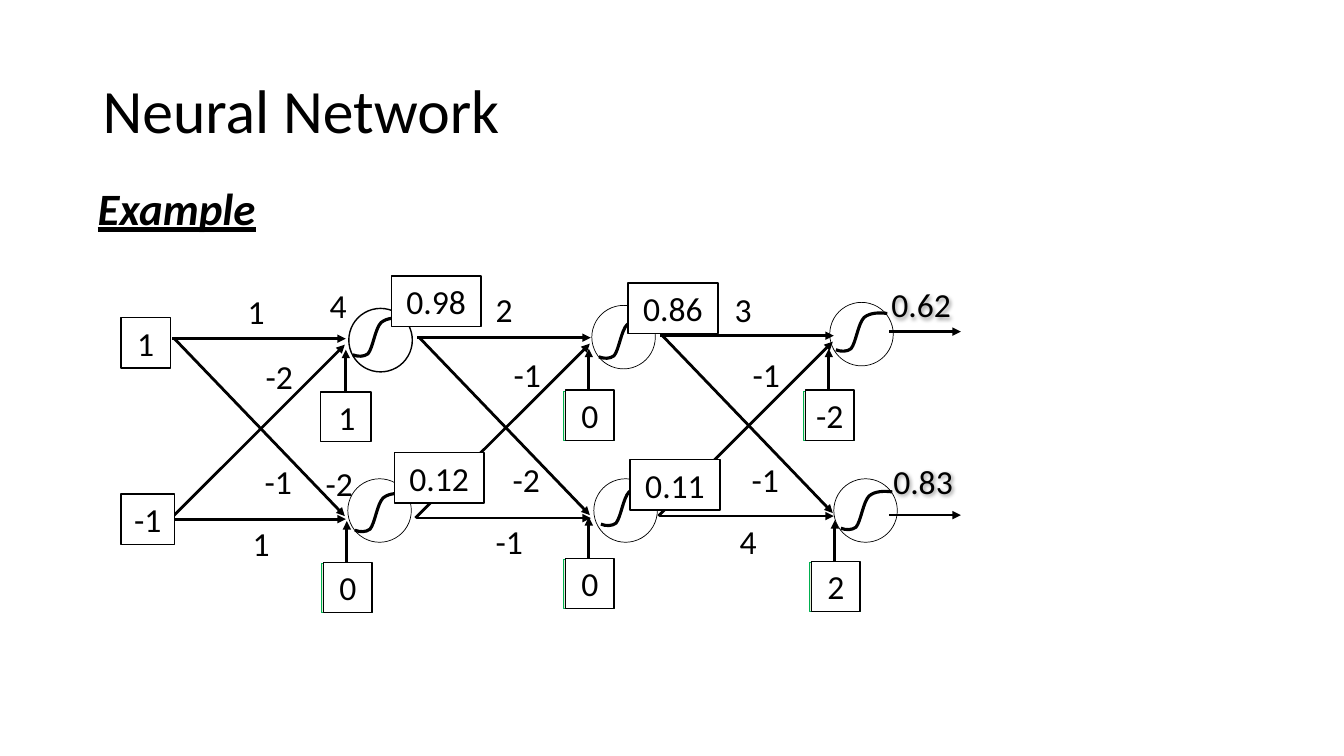
from lxml import etree
from pptx import Presentation
from pptx import util as u
from pptx.dml.color import RGBColor
from pptx.enum import shapes, text
from pptx.oxml import ns

COLORS = {"ink": "000000", "paper": "FFFFFF", "bias": "E2F0D9", "bias_edge": "00B050"}


class Diagram:
    font = "Calibri"

    def __init__(self, slide):
        self.shapes = slide.shapes

    def rgb(self, name):
        return RGBColor.from_string(COLORS[name])

    def sub(self, parent, tag, **attrs):
        return etree.SubElement(parent, ns.qn(tag), attrs)

    def paint(self, sp, fill, edge, width):
        if fill:
            sp.fill.solid()
            sp.fill.fore_color.rgb = self.rgb(fill)
        else:
            sp.fill.background()
        sp.line.color.rgb = self.rgb(edge)
        sp.line.width = u.Pt(width)

    def shape(self, kind, x, y, w, h, fill=None, edge="ink", width=1):
        sp = self.shapes.add_shape(kind, *map(u.Inches, (x, y, w, h)))
        sp.shadow.inherit = False
        self.paint(sp, fill, edge, width)
        return sp

    def label(self, words, x, y, w, h=0.5, size=24, align=text.PP_ALIGN.CENTER):
        sp = self.shapes.add_textbox(*map(u.Inches, (x, y, w, h)))
        tf = sp.text_frame
        tf.word_wrap = True
        tf.auto_size = text.MSO_AUTO_SIZE.SHAPE_TO_FIT_TEXT
        p = tf.paragraphs[0]
        p.text = words
        p.alignment = align
        p.font.name = self.font
        p.font.size = u.Pt(size)
        p.font.color.rgb = self.rgb("ink")
        return sp

    def box(self, words, x, y, w):
        sp = self.label(words, x, y, w)
        self.paint(sp, "paper", "ink", 1)
        return sp

    def arrow(self, x1, y1, x2, y2):
        line = self.shapes.add_connector(
            shapes.MSO_CONNECTOR.STRAIGHT, *map(u.Inches, (x1, y1, x2, y2)))
        line.line.color.rgb = self.rgb("ink")
        line.line.width = u.Pt(2)
        self.sub(line.line._get_or_add_ln(), "a:tailEnd", type="triangle")
        self.sub(line._element.spPr, "a:effectLst")
        return line

    def sigmoid(self, x, y):
        """Draw the S curve as three joined cubic Beziers."""
        knots = [(0.51, 0.01), (0.43, 0), (0.34, 0), (0.28, 0.05),
                 (0.22, 0.11), (0.20, 0.30), (0.15, 0.36),
                 (0.11, 0.39), (0.05, 0.39), (0, 0.37)]
        points = [(u.Inches(x + dx), u.Inches(y + dy)) for dx, dy in knots]
        builder = self.shapes.build_freeform(*points[0])
        builder.add_line_segments(points[1:], close=False)
        sp = builder.convert_to_shape()
        sp.shadow.inherit = False
        self.paint(sp, None, "ink", 2.25)
        # Turn each three straight steps into one curve
        outline = sp._element.spPr.find(".//" + ns.qn("a:path"))
        steps = outline.findall(ns.qn("a:lnTo"))
        for i in range(0, len(steps), 3):
            curve = self.sub(outline, "a:cubicBezTo")
            for step in steps[i:i + 3]:
                curve.append(step[0])
                outline.remove(step)

    def bias(self, words, x, y, backed=True):
        rect = shapes.MSO_SHAPE.RECTANGLE
        if backed:
            base = self.shape(rect, x, y, 0.5, 0.49, "bias", "bias_edge", 0.5)
        else:
            base = self.shape(rect, x, y, 0.5, 0.49, "paper")
        line = self.arrow(x + 0.25, y, x + 0.25, y - 0.42)
        line.begin_connect(base, 0)
        if backed:
            self.box(words, x + 0.02, y - 0.01, 0.48)
        else:
            self.label(words, x + 0.02, y, 0.48)

    def output(self, words, x, y):
        sp = self.label(words, x, y, 0.89)
        effects = self.sub(sp._element.spPr, "a:effectLst")
        shadow = self.sub(effects, "a:outerShdw", blurRad="38100", dist="19050",
                          dir="2700000", algn="tl")
        color = self.sub(shadow, "a:srgbClr", val=COLORS["ink"])
        self.sub(color, "a:alpha", val="40000")


def main():
    prs = Presentation()
    prs.slide_width, prs.slide_height = u.Inches(13.33), u.Inches(7.5)
    d = Diagram(prs.slides.add_slide(prs.slide_layouts[6]))

    # Title
    title = d.label("Neural Network", 0.92, 0.4, 11.5, 1.45, 44, text.PP_ALIGN.LEFT)
    title.text_frame.auto_size = text.MSO_AUTO_SIZE.NONE
    title.text_frame.vertical_anchor = text.MSO_ANCHOR.MIDDLE
    title.text_frame.paragraphs[0].line_spacing = 0.9

    # Output arrows
    for y in (5.11, 3.29):
        d.arrow(8.82, y, 9.53, y)

    # Neurons: circle position, then curve position
    neurons = [(3.46, 3.06, 3.5, 3.15), (3.45, 4.75, 3.52, 4.89),
               (5.87, 3.03, 5.94, 3.17), (5.89, 4.75, 5.96, 4.83),
               (8.23, 3.0, 8.29, 3.1), (8.27, 4.75, 8.34, 4.87)]
    for i, (x, y, _, _) in enumerate(neurons):
        d.shape(shapes.MSO_SHAPE.OVAL, x, y, 0.63, 0.63,
                None if i else "paper", width=0.5 if i else 1)

    # Wires between layers
    wires = [(0, 1.79, 1.73, 0.06), (0.04, 0, 1.73, 1.76),
             (0.02, 0, 1.74, 0), (0.02, 1.79, 1.74, 1.79)]
    lower_wires = []
    for x, y in ((1.69, 3.36), (4.12, 3.35), (6.53, 3.33)):
        for x1, y1, x2, y2 in wires:
            line = d.arrow(x + x1, y + y1, x + x2, y + y2)
        lower_wires.append(line)

    for _, _, x, y in neurons:
        d.sigmoid(x, y)

    # Weights: top, upper diagonal, bottom, lower diagonal
    places = [(0.15, 0, 0.38), (0.33, 0.64, 0.48), (0, 2.3, 0.78), (0.17, 1.68, 0.78)]
    for x, y, weights in ((2.2, 2.84, ("1", "-2", "1", "-1")),
                          (4.66, 2.82, ("2", "-1", "-1", "-2")),
                          (7.03, 2.82, ("3", "-1", "4", "-1"))):
        for weight, (dx, dy, w) in zip(weights, places):
            d.label(weight, x + dx, y + dy, w)

    # Biases
    d.bias("1", 3.18, 3.89, backed=False)
    for words, x, y in (("0", 3.19, 5.59), ("0", 5.59, 3.88), ("0", 5.59, 5.55),
                        ("-2", 7.97, 3.88), ("2", 8.03, 5.58)):
        d.bias(words, x, y)

    # Weighted sums and activations
    d.label("4", 3.12, 2.78, 0.47)
    d.label("-2", 2.99, 4.54, 0.75)
    for words, x, y in (("0.98", 3.88, 2.74), ("0.12", 3.91, 4.49),
                        ("0.86", 6.23, 2.81), ("0.11", 6.25, 4.56)):
        d.box(words, x, y, 0.89)
    d.output("0.62", 8.69, 2.77)
    d.output("0.83", 8.71, 4.52)

    # Inputs
    d.box("1", 1.2, 3.15, 0.49)
    lower_input = d.box("-1", 1.2, 4.9, 0.53)
    lower_wires[0].begin_connect(lower_input, 3)

    # Heading
    heading = d.label("Example", 0.87, 1.74, 1.78, 0.64, 32, text.PP_ALIGN.LEFT)
    heading.text_frame.word_wrap = False
    font = heading.text_frame.paragraphs[0].font
    font.bold = font.italic = font.underline = True

    prs.save("out.pptx")


if __name__ == "__main__":
    main()
